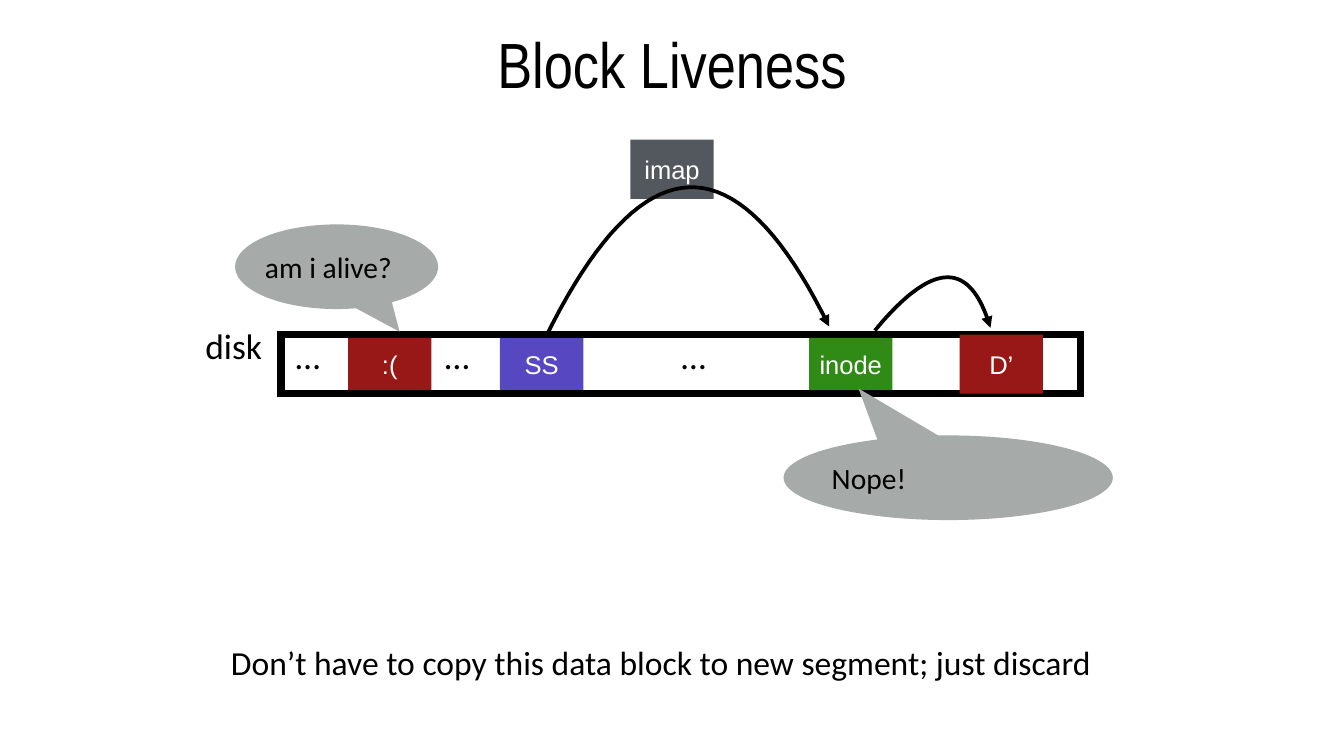
from pptx import Presentation
from pptx.dml.color import RGBColor
from pptx.enum.shapes import MSO_SHAPE
from pptx.enum.text import MSO_ANCHOR, PP_ALIGN
from pptx.oxml.ns import qn
from pptx.util import Inches, Pt
from lxml.etree import SubElement

THEME = {
    "black": "000000", "white": "FFFFFF", "bubble": "A6AAA8",
    "red": "971817", "green": "308B16", "violet": "5747C1", "slate": "53585F",
    "title": ("Arial Narrow", 34.2), "block": ("Arial", 13.7),
    "disk": ("Calibri", 19), "speech": ("Calibri", 15.8), "note": ("Calibri", 18),
}

# Content: horizontal places along the disk, in inches
BLOCK_WIDTH, BLOCK_HEIGHT = 0.62, 0.44
DISK_LEFT, DISK_TOP, DISK_WIDTH = 2.09, 2.49, 5.95
BLOCKS_UNDER_FRAME = [
    ("inode", 6.02, DISK_TOP, "green"),
    (":(", 2.59, DISK_TOP, "red"),
    ("SS", 3.72, DISK_TOP, "violet"),
]
BLOCKS_OVER_FRAME = [("imap", 4.69, 1.04, "slate"), ("D’", 7.14, DISK_TOP, "red")]
GAPS = [2.17, 3.28, 5.04]
BUBBLES = [
    ("am i alive?", (1.75, 1.67, 1.51, 0.63), (0.31, 0.767)),
    ("Nope!", (5.83, 3.24, 2.45, 0.63), (-0.272, -1.054)),
]
# Each pointer: start, two control points, end
POINTERS = [
    ((4.06, 2.51), (4.78, 1.05), (5.48, 1.02), (6.17, 2.43)),
    ((6.51, 2.46), (6.94, 1.94), (7.22, 1.93), (7.37, 2.44)),
]
CURVE_STEPS = 40

# Widescreen page, 16 to 9
deck = Presentation()
deck.slide_width = Inches(10)
deck.slide_height = deck.slide_width * 9 // 16
page = deck.slides.add_slide(deck.slide_layouts[6])


def color(name):
    return RGBColor.from_string(THEME[name])


def write(box, text, style, ink="black", align=PP_ALIGN.LEFT, inset=0.0,
          wrap=True, anchor=MSO_ANCHOR.MIDDLE):
    frame = box.text_frame
    frame.word_wrap = wrap
    frame.vertical_anchor = anchor
    frame.margin_left = frame.margin_right = Inches(inset)
    frame.margin_top = frame.margin_bottom = Inches(min(inset, 0.05))
    para = frame.paragraphs[0]
    para.alignment = align
    span = para.add_run()
    span.text = text
    span.font.name, size = THEME[style]
    span.font.size = Pt(size)
    span.font.color.rgb = color(ink)


def add_label(text, place, style, **options):
    box = page.shapes.add_textbox(*map(Inches, place))
    write(box, text, style, **options)


def add_filled(kind, place, fill):
    shape = page.shapes.add_shape(kind, *map(Inches, place))
    shape.shadow.inherit = False
    shape.fill.solid()
    shape.fill.fore_color.rgb = color(fill)
    shape.line.fill.background()
    return shape


def add_block(text, left, top, fill):
    place = (left, top, BLOCK_WIDTH, BLOCK_HEIGHT)
    shape = add_filled(MSO_SHAPE.RECTANGLE, place, fill)
    write(shape, text, "block", ink="white", align=PP_ALIGN.CENTER)


def add_bubble(text, place, tip):
    shape = add_filled(MSO_SHAPE.OVAL_CALLOUT, place, "bubble")
    shape.adjustments[0], shape.adjustments[1] = tip
    write(shape, text, "speech")


def outline(shape, width, detail, **attributes):
    shape.shadow.inherit = False
    shape.fill.background()
    shape.line.color.rgb = color("black")
    shape.line.width = Pt(width)
    line = shape.element.spPr.find(qn("a:ln"))
    SubElement(line, qn(detail), **attributes)


def curve_point(controls, t):
    weights = ((1 - t) ** 3, 3 * t * (1 - t) ** 2, 3 * t**2 * (1 - t), t**3)
    return tuple(
        Inches(sum(w * value for w, value in zip(weights, axis)))
        for axis in zip(*controls)
    )


def add_pointer(controls):
    points = [curve_point(controls, i / CURVE_STEPS) for i in range(CURVE_STEPS + 1)]
    builder = page.shapes.build_freeform(*points[0])
    builder.add_line_segments(points[1:], close=False)
    outline(builder.convert_to_shape(), 2, "a:tailEnd", type="triangle")


# Title
add_label("Block Liveness", (0.5, 0, 9, 0.94), "title",
          align=PP_ALIGN.CENTER, inset=0.1)

# Disk with its blocks
for block in BLOCKS_UNDER_FRAME:
    add_block(*block)
add_label("disk", (1.44, 2.38, 0.54, 0.38), "disk",
          align=PP_ALIGN.RIGHT, inset=0.03, wrap=False)
disk = page.shapes.add_shape(
    MSO_SHAPE.RECTANGLE,
    *map(Inches, (DISK_LEFT, DISK_TOP, DISK_WIDTH, BLOCK_HEIGHT)))
outline(disk, 4, "a:miter", lim="800000")
for left in GAPS:
    add_label("…", (left, 2.45, 0.33, 0.38), "disk", inset=0.03, wrap=False)
for block in BLOCKS_OVER_FRAME:
    add_block(*block)

# Pointers and speech bubbles
for pointer in POINTERS:
    add_pointer(pointer)
for bubble in BUBBLES:
    add_bubble(*bubble)

# Conclusion
add_label("Don’t have to copy this data block to new segment; just discard",
          (1.62, 4.73, 6.66, 0.4), "note", inset=0.1, wrap=False,
          anchor=MSO_ANCHOR.TOP)

deck.save("out.pptx")
